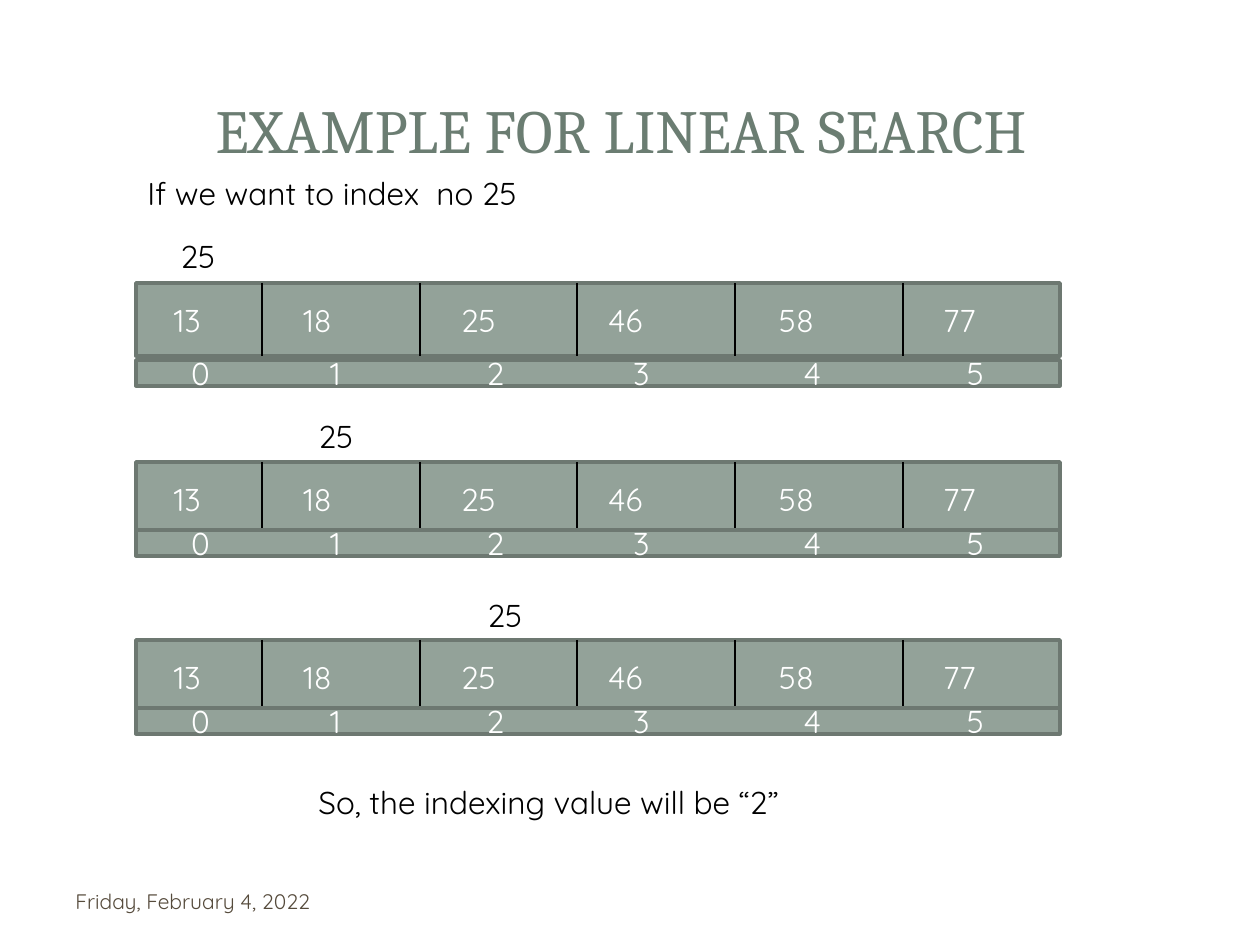
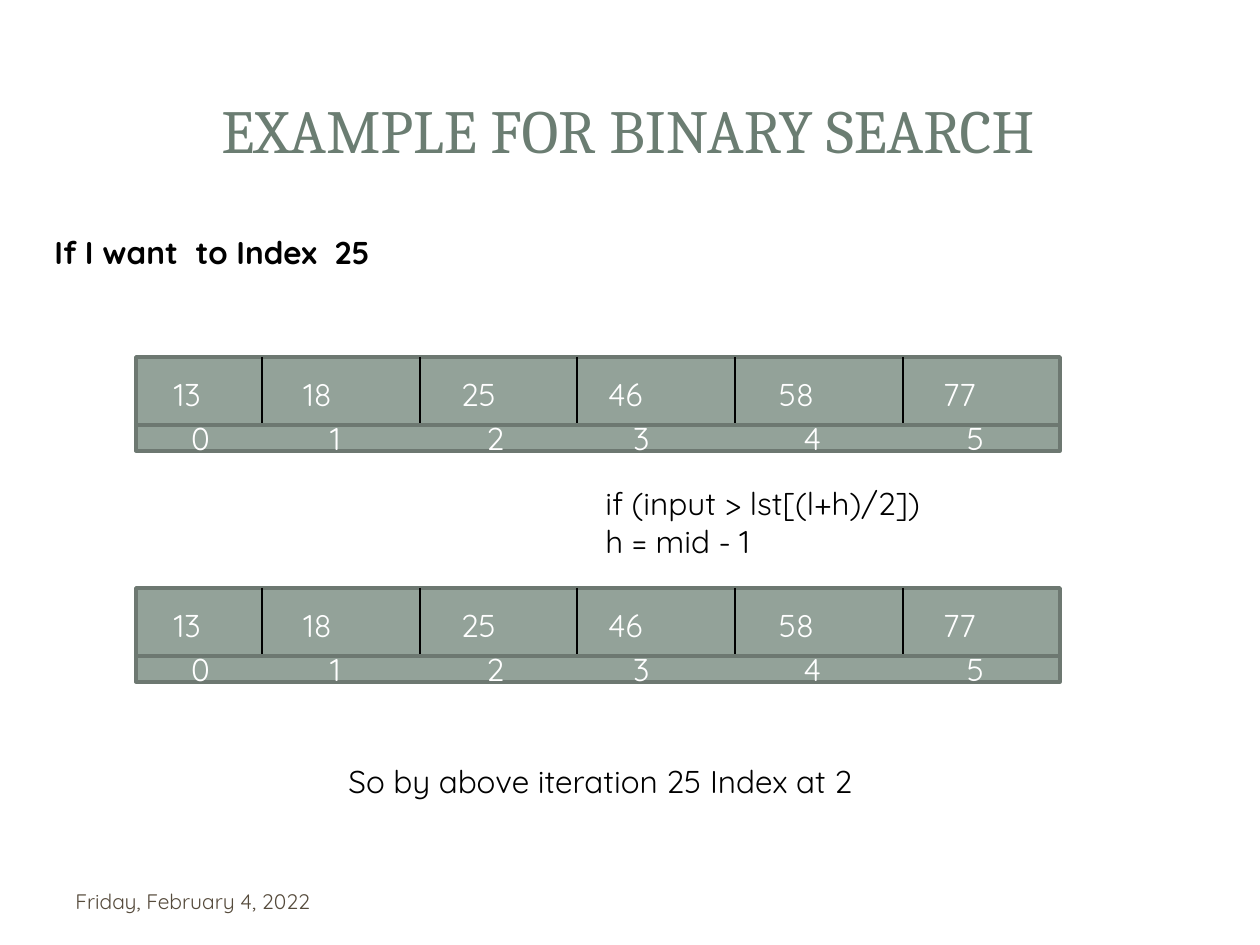
from dataclasses import dataclass

from lxml import etree
from pptx import Presentation
from pptx import util as u
from pptx.dml.color import RGBColor
from pptx.enum import shapes, text
from pptx.oxml.ns import qn

VALUES = ["13", "18", "25", "46", "58", "77"]
INDEXES = ["0", "1", "2", "3", "4", "5"]
DATE = "Friday, February 4, 2022"

# Array: (top, offset of the index band). Note: (lines, (left, top, width, height), bold)
SLIDES = [
    {
        "title": "EXAMPLE FOR LINEAR SEARCH ",
        "arrays": [(283, 77), (462, 68), (640, 68)],
        "notes": [
            (["If we want to index  no 25"], (135, 168, 421, 50), False),
            (["25"], (168, 231, 60, 50), False),
            (["25"], (306, 411, 60, 50), False),
            (["25"], (475, 590, 60, 50), False),
            (["So, the indexing value will be “2”"], (306, 777, 529, 50), False),
        ],
    },
    {
        "title": "EXAMPLE FOR BINARY SEARCH",
        "arrays": [(357, 68), (588, 68)],
        "notes": [
            (["If I want  to Index  25"], (42, 227, 341, 50), True),
            (["if (input > lst[(l+h)/2])", "h = mid - 1"],
             (593, 478, 341, 89), False),
            (["So by above iteration 25 Index at 2"], (336, 756, 562, 50), False),
        ],
    },
]

PX = 914400 / 126
SLIDE_SIZE = (1260, 945)
TITLE_BOX = (59, 57, 1138, 144)
DATE_BOX = (63, 876, 294, 50)
ARRAY_LEFT, ARRAY_WIDTH = 136, 924
VALUE_HEIGHT, INDEX_HEIGHT = 73, 26
DIVIDERS = [262, 420, 577, 735, 903]
VALUE_CENTRES = [188, 318, 479, 626, 797, 960]
INDEX_CENTRES = [201, 336, 496, 642, 813, 976]
TEXT_INSET = 13


@dataclass(frozen=True)
class Theme:
    heading: str = "6B7D72"
    ink: str = "000000"
    date: str = "564B3C"
    cell: str = "93A299"
    cell_edge: str = "6D7871"
    cell_text: str = "FFFFFF"
    heading_font: str = "Cambria"
    body_font: str = "Quicksand"
    heading_size: int = 35
    body_size: int = 18
    date_size: int = 12
    edge_width: float = 2
    divider_width: float = 0.75


THEME = Theme()


def px(*lengths):
    return [u.Emu(round(length * PX)) for length in lengths]


def rgb(colour):
    return RGBColor.from_string(colour)


def write(shape, lines, *, size=THEME.body_size, colour=THEME.ink,
          font=THEME.body_font, bold=False, align=text.PP_ALIGN.LEFT,
          anchor=text.MSO_ANCHOR.TOP, wrap=True, grow=False):
    frame = shape.text_frame
    frame.text = "\n".join(lines)
    frame.word_wrap = wrap
    frame.vertical_anchor = anchor
    frame.auto_size = (text.MSO_AUTO_SIZE.SHAPE_TO_FIT_TEXT if grow
                       else text.MSO_AUTO_SIZE.NONE)
    for paragraph in frame.paragraphs:
        paragraph.alignment = align
        for run in paragraph.runs:
            run.font.size = u.Pt(size)
            run.font.name = font
            run.font.bold = bold
            run.font.color.rgb = rgb(colour)


def set_centred_tabs(paragraph, centres):
    """Put a centred tab stop at each slide position in centres."""
    tabs = etree.SubElement(paragraph._p.get_or_add_pPr(), qn("a:tabLst"))
    for position in px(*(c - ARRAY_LEFT - TEXT_INSET for c in centres)):
        etree.SubElement(tabs, qn("a:tab"), pos=str(position), algn="ctr")


def add_band(slide, top, height, entries, centres):
    band = slide.shapes.add_shape(
        shapes.MSO_SHAPE.RECTANGLE, *px(ARRAY_LEFT, top, ARRAY_WIDTH, height))
    band.shadow.inherit = False
    band.fill.solid()
    band.fill.fore_color.rgb = rgb(THEME.cell)
    band.line.color.rgb = rgb(THEME.cell_edge)
    band.line.width = u.Pt(THEME.edge_width)
    write(band, ["".join("\t" + entry for entry in entries)],
          colour=THEME.cell_text, anchor=text.MSO_ANCHOR.MIDDLE)
    set_centred_tabs(band.text_frame.paragraphs[0], centres)


def add_divider(slide, x, top):
    divider = slide.shapes.add_connector(
        shapes.MSO_CONNECTOR.STRAIGHT, *px(x, top, x, top + VALUE_HEIGHT))
    divider.line.color.rgb = rgb(THEME.ink)
    divider.line.width = u.Pt(THEME.divider_width)
    etree.SubElement(divider._element.spPr, qn("a:effectLst"))


def add_array(slide, top, index_offset):
    add_band(slide, top, VALUE_HEIGHT, VALUES, VALUE_CENTRES)
    for x in DIVIDERS:
        add_divider(slide, x, top)
    add_band(slide, top + index_offset, INDEX_HEIGHT, INDEXES, INDEX_CENTRES)


def build_slide(deck, layout, content):
    slide = deck.slides.add_slide(layout)
    write(slide.shapes.title, [content["title"]], size=THEME.heading_size,
          colour=THEME.heading, font=THEME.heading_font,
          align=text.PP_ALIGN.CENTER, anchor=text.MSO_ANCHOR.MIDDLE)
    write(slide.shapes.add_textbox(*px(*DATE_BOX)), [DATE],
          size=THEME.date_size, colour=THEME.date,
          anchor=text.MSO_ANCHOR.MIDDLE)
    for top, index_offset in content["arrays"]:
        add_array(slide, top, index_offset)
    for lines, box, bold in content["notes"]:
        write(slide.shapes.add_textbox(*px(*box)), lines, bold=bold,
              wrap=False, grow=True)


def main():
    deck = Presentation()
    deck.slide_width, deck.slide_height = px(*SLIDE_SIZE)
    layout = deck.slide_layouts.get_by_name("Title Only")
    heading = layout.placeholders[0]
    heading.left, heading.top, heading.width, heading.height = px(*TITLE_BOX)
    for content in SLIDES:
        build_slide(deck, layout, content)
    deck.save("out.pptx")


if __name__ == "__main__":
    main()
